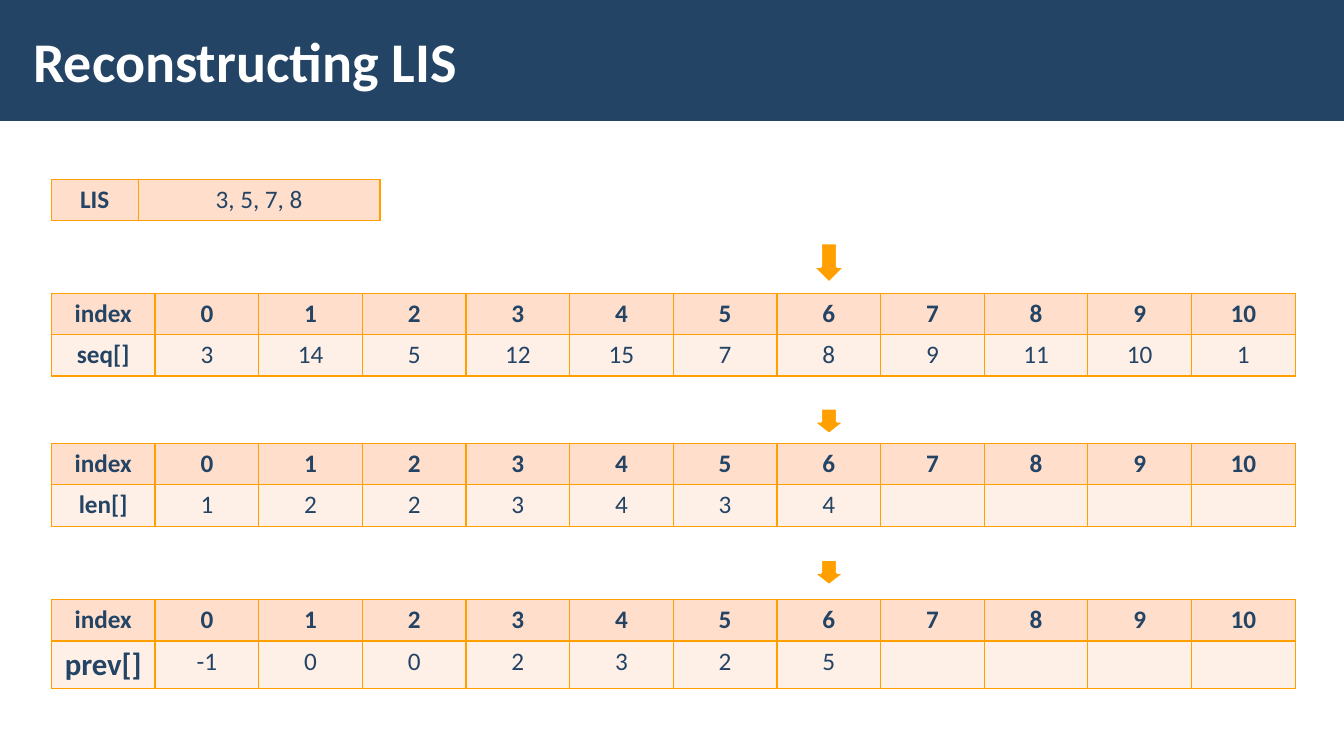
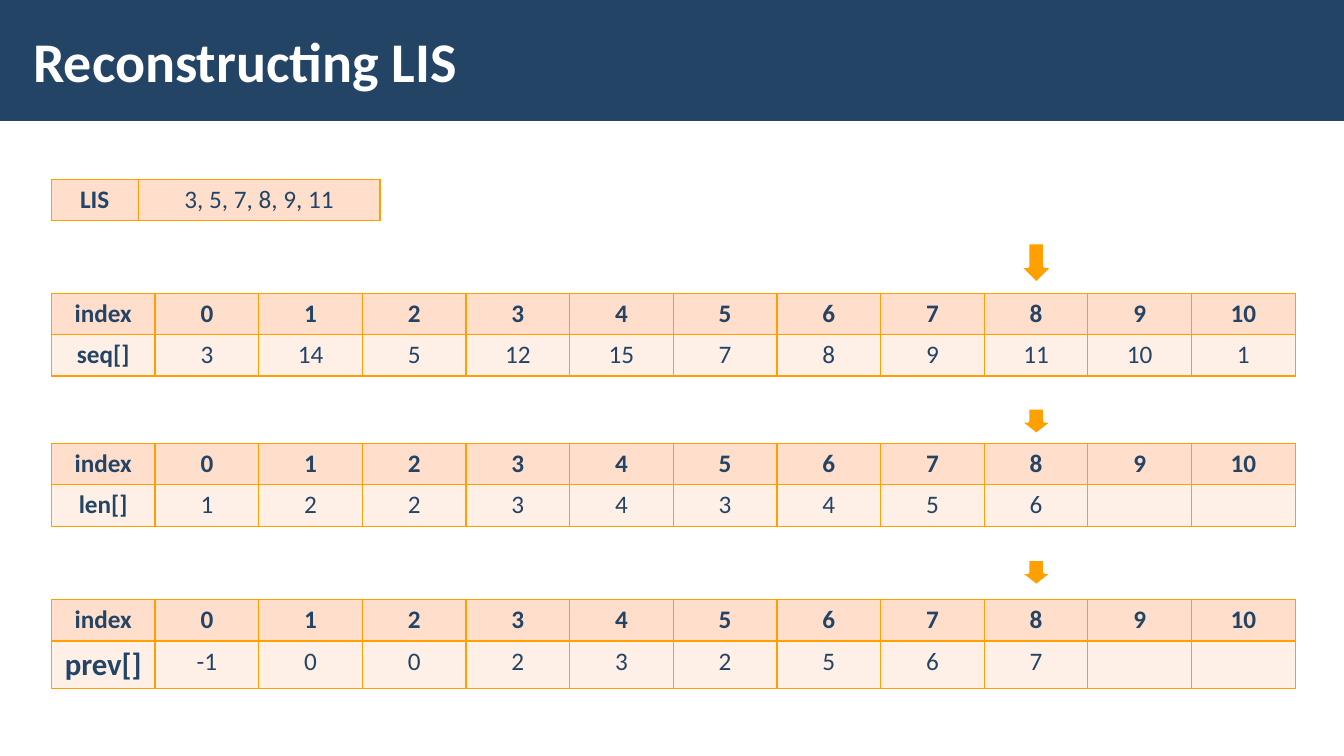
from lxml import etree
from pptx import Presentation
from pptx.dml.color import RGBColor
from pptx.enum.shapes import MSO_SHAPE
from pptx.enum.text import MSO_ANCHOR, PP_ALIGN
from pptx.oxml.ns import qn
from pptx.util import Inches, Pt

RECTANGLE, DOWN_ARROW = MSO_SHAPE.RECTANGLE, MSO_SHAPE.DOWN_ARROW
CENTER, LEFT, MIDDLE = PP_ALIGN.CENTER, PP_ALIGN.LEFT, MSO_ANCHOR.MIDDLE

COLORS = {"navy": "234465", "amber": "FFA000", "peach": "FFDFCC",
          "blush": "FFF0E7", "white": "FFFFFF"}
FONT = "Calibri"
TITLE = "Reconstructing LIS"
TITLE_ONLY = 5

WIDTH, HEIGHT = 13.33, 7.5
GRID_LEFT, GRID_WIDTH = 0.51, 12.34
ROW_HEIGHT = 0.41
LENGTH = 11
COLUMN_WIDTH = GRID_WIDTH / (LENGTH + 1)
LIS_TOP, LIS_COLUMNS = 1.78, (0.86, 2.4)
ARROW_WIDTH = 0.33

# Each array: label, label size, table top, arrow top, arrow height, values
ARRAYS = [
    ("seq[]", 18, 2.91, 2.41, 0.4, [3, 14, 5, 12, 15, 7, 8, 9, 11, 10, 1]),
    ("len[]", 18, 4.4, 4.05, 0.26, [1, 2, 2, 3, 4, 3, 4, 5, 6]),
    ("prev[]", 22, 5.95, 5.55, 0.26, [-1, 0, 0, 2, 3, 2, 5, 6, 7]),
]
# Each step: index reached, subsequence found
STEPS = [(6, "3, 5, 7, 8"), (8, "3, 5, 7, 8, 9, 11")]


def rgb(name):
    return RGBColor.from_string(COLORS[name])


def write(frame, text, size, color, bold, align):
    para = frame.paragraphs[0]
    para.alignment = align
    span = para.add_run()
    span.text = text
    style = {"name": FONT, "size": Pt(size), "bold": bold}
    for key, value in style.items():
        setattr(span.font, key, value)
    span.font.color.rgb = rgb(color)


def add_border(cell, color="amber", points=1):
    properties = cell._tc.get_or_add_tcPr()
    for side in ("a:lnL", "a:lnR", "a:lnT", "a:lnB"):
        line = etree.SubElement(properties, qn(side), w=str(Pt(points)))
        fill = etree.SubElement(line, qn("a:solidFill"))
        etree.SubElement(fill, qn("a:srgbClr"), val=COLORS[color])


def add_grid(page, left, top, widths, rows, label_size=18):
    """Draw a table whose first row is peach; rows hold (text, bold) pairs."""
    frame = page.shapes.add_table(
        len(rows), len(widths), Inches(left), Inches(top),
        Inches(sum(widths)), Inches(ROW_HEIGHT * len(rows)))
    table = frame.table
    table.first_row = table.horz_banding = False
    for column, width in zip(table.columns, widths):
        column.width = Inches(width)
    for r, row in enumerate(rows):
        table.rows[r].height = Inches(ROW_HEIGHT)
        for c, (text, bold) in enumerate(row):
            cell = table.cell(r, c)
            add_border(cell)
            cell.fill.solid()
            cell.fill.fore_color.rgb = rgb("blush" if r else "peach")
            if text:
                size = label_size if r and not c else 18
                write(cell.text_frame, text, size, "navy", bold, CENTER)


def add_array(page, label, label_size, top, values):
    header = [("index", True)] + [(str(i), True) for i in range(LENGTH)]
    body = [(label, True)] + [(str(value), False) for value in values]
    body += [("", False)] * (len(header) - len(body))
    add_grid(page, GRID_LEFT, top, [COLUMN_WIDTH] * len(header),
             [header, body], label_size)


def add_arrow(page, index, top, height):
    """Point at the column of the given index."""
    center = GRID_LEFT + COLUMN_WIDTH * (index + 1.5)
    arrow = page.shapes.add_shape(
        DOWN_ARROW, Inches(center - ARROW_WIDTH / 2), Inches(top),
        Inches(ARROW_WIDTH), Inches(height))
    arrow.shadow.inherit = False
    arrow.fill.solid()
    arrow.fill.fore_color.rgb = rgb("amber")
    arrow.line.color.rgb = rgb("white")
    arrow.line.width = Pt(2)


def style_layout(layout, page):
    """Give the layout its title box and a band, made on page and moved."""
    title = layout.placeholders[0]
    box = {"left": 0.21, "top": 0.11, "width": 10.63, "height": 0.97}
    for key, value in box.items():
        setattr(title, key, Inches(value))
    band = page.shapes.add_shape(RECTANGLE, 0, 0, Inches(WIDTH), Inches(1.2))
    band.shadow.inherit = False
    band.fill.solid()
    band.fill.fore_color.rgb = rgb("navy")
    band.line.fill.background()
    layout.shapes.element.insert(2, band.element)


def add_title(page):
    frame = page.shapes.title.text_frame
    margins = {"margin_left": 0.12, "margin_right": 0.12,
               "margin_top": 0.04, "margin_bottom": 0.04}
    for key, value in margins.items():
        setattr(frame, key, Inches(value))
    frame.vertical_anchor = MIDDLE
    write(frame, TITLE, 40, "white", True, LEFT)


def fill_step(page, index, subsequence):
    add_title(page)
    for label, size, top, arrow_top, arrow_height, values in ARRAYS:
        add_arrow(page, index, arrow_top, arrow_height)
        known = values if label == "seq[]" else values[:index + 1]
        add_array(page, label, size, top, known)
    add_grid(page, GRID_LEFT, LIS_TOP, LIS_COLUMNS,
             [[("LIS", True), (subsequence, False)]])


def main():
    deck = Presentation()
    deck.slide_width, deck.slide_height = Inches(WIDTH), Inches(HEIGHT)
    layout = deck.slide_layouts[TITLE_ONLY]
    pages = [deck.slides.add_slide(layout) for _ in STEPS]
    style_layout(layout, pages[0])
    for page, (index, subsequence) in zip(pages, STEPS):
        fill_step(page, index, subsequence)
    deck.save("out.pptx")


if __name__ == "__main__":
    main()
